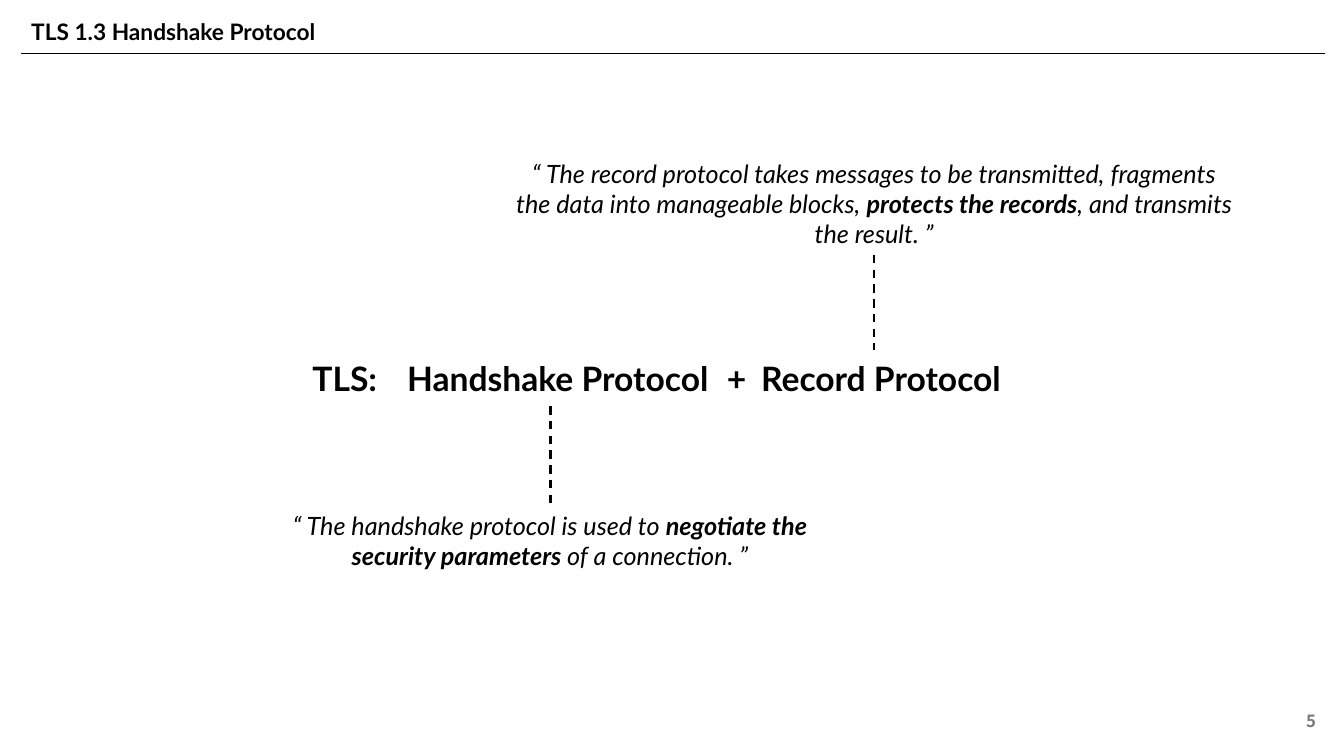
import pptx
import pptx.util
import pptx.dml.color
import pptx.enum.dml
import pptx.enum.shapes
import pptx.enum.text
import pptx.oxml.ns
from lxml import etree

Inches = pptx.util.Inches
Align = pptx.enum.text.PP_ALIGN
Anchor = pptx.enum.text.MSO_ANCHOR
BLACK = pptx.dml.color.RGBColor(0x00, 0x00, 0x00)
GREY = pptx.dml.color.RGBColor(0x79, 0x79, 0x79)
qn = pptx.oxml.ns.qn


def fill_text(shape, box, runs, size, align=Align.LEFT, anchor=Anchor.TOP,
              italic=False, color=BLACK, font="Lato"):
    """Place a shape and write its (text, bold) runs as one paragraph."""
    shape.left, shape.top, shape.width, shape.height = map(Inches, box)
    frame = shape.text_frame
    frame.word_wrap = True
    frame.vertical_anchor = anchor
    para = frame.paragraphs[0]
    para.alignment = align
    for text, bold in runs:
        run = para.add_run()
        run.text = text
        run.font.name = font
        run.font.size = pptx.util.Pt(size)
        run.font.bold = bold
        run.font.italic = italic
        run.font.color.rgb = color
    return para


def add_line(x1, y1, x2, y2, width, dash=None):
    line = slide.shapes.add_connector(
        pptx.enum.shapes.MSO_CONNECTOR.STRAIGHT, *map(Inches, (x1, y1, x2, y2)))
    line.line.color.rgb = BLACK
    line.line.width = pptx.util.Pt(width)
    line.line.dash_style = dash
    props = line._element.find(qn("p:spPr"))
    etree.SubElement(props, qn("a:effectLst"))


deck = pptx.Presentation()
deck.slide_width = Inches(13.33)
deck.slide_height = Inches(7.5)
slide = deck.slides.add_slide(deck.slide_layouts[5])

# Header and page number
add_line(0.21, 0.53, 13.14, 0.53, 1)
title = slide.shapes.title
head = fill_text(title, (0.21, 0.15, 12.93, 0.35),
                 [("TLS 1.3 Handshake Protocol", True)], 16.2,
                 anchor=Anchor.MIDDLE)
head.line_spacing = 0.9
title.text_frame.auto_size = pptx.enum.text.MSO_AUTO_SIZE.NONE

page = slide.shapes.add_textbox(0, 0, 0, 0)
fill_text(page, (10.15, 6.95, 3, 0.4), [("5", True)], 12, Align.RIGHT,
          Anchor.MIDDLE, color=GREY, font="Noto Sans CJK KR")

# Formula, with tab stops between its terms
sum_box = slide.shapes.add_textbox(0, 0, 0, 0)
sum_para = fill_text(sum_box, (3, 3.5, 7.15, 0.5),
                     [("TLS:\tHandshake Protocol\t+\tRecord Protocol", True)], 24)
tabs = etree.SubElement(sum_para._p.get_or_add_pPr(), qn("a:tabLst"))
for stop in (0.94, 4.11, 4.45):
    etree.SubElement(tabs, qn("a:tab"), pos=str(Inches(stop)), algn="l")

# Quotes, each tied to its term by a dashed line
quotes = [
    ((2.67, 5.01, 5.57, 0.71), (5.46, 4.03, 5.01), [
        ("“ The handshake protocol is used to ", False),
        ("negotiate the security parameters ", True),
        ("of a connection. ”", False)]),
    ((4.99, 1.52, 7.36, 1.01), (8.67, 2.53, 3.47), [
        ("“ The record protocol takes messages to be transmitted, "
         "fragments the data into manageable blocks, ", False),
        ("protects the records", True),
        (", and transmits the result. ”", False)]),
]
for box, (x, top, end), runs in quotes:
    quote = slide.shapes.add_textbox(0, 0, 0, 0)
    fill_text(quote, box, runs, 18, Align.CENTER, italic=True)
    add_line(x, top, x, end, 1.5, pptx.enum.dml.MSO_LINE.DASH)

deck.save("out.pptx")
